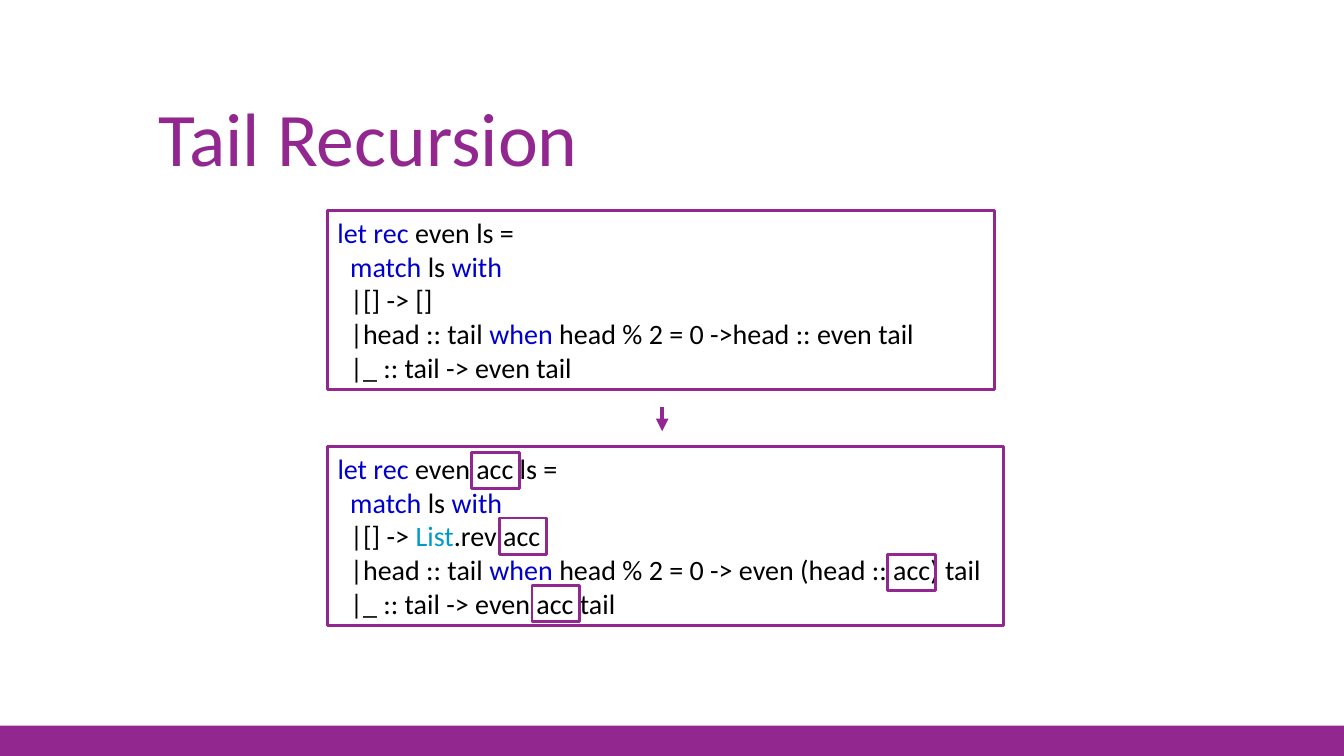
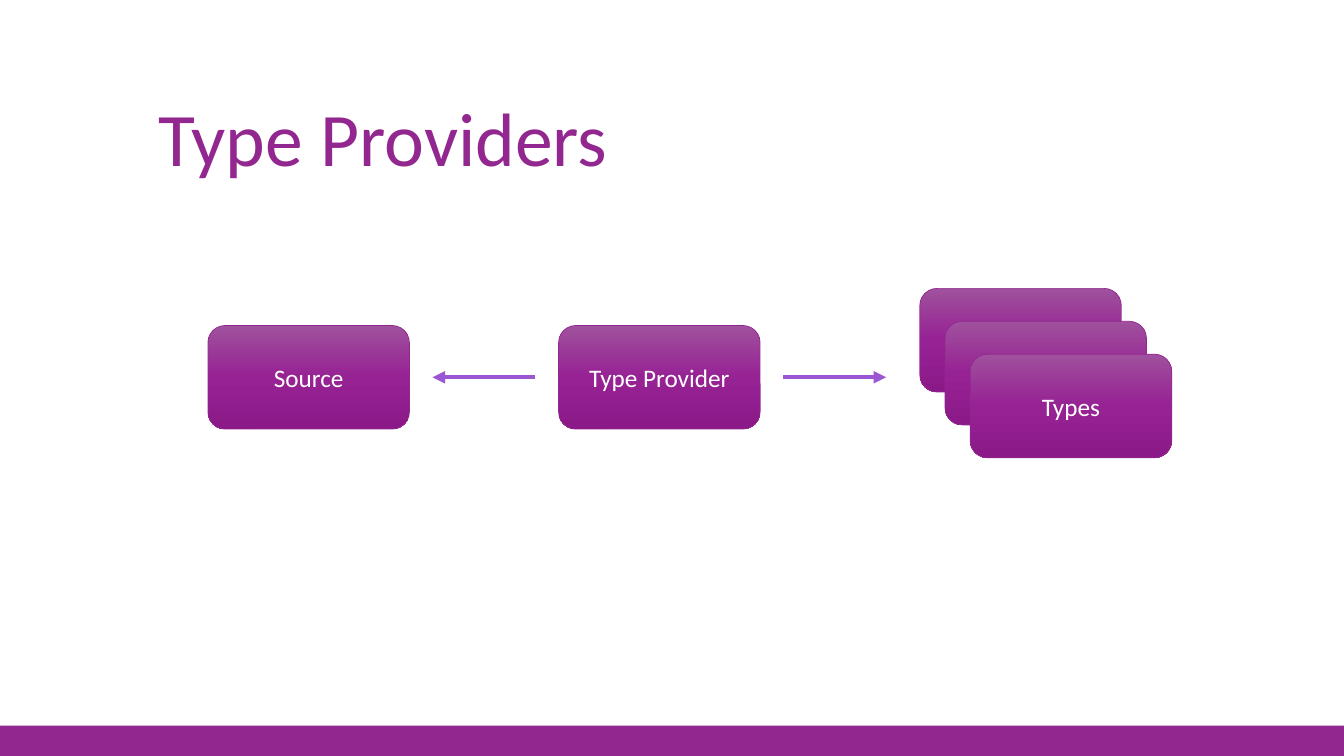
from copy import deepcopy

from lxml.etree import SubElement
from pptx import Presentation
from pptx.dml.color import RGBColor
from pptx.enum.shapes import MSO_CONNECTOR, MSO_SHAPE as SHAPE
from pptx.enum.text import MSO_ANCHOR as ANCHOR, PP_ALIGN as ALIGN
from pptx.oxml.ns import qn
from pptx.util import Pt

FONT = "Calibri"
PURPLE, LILAC = "92278F", "9B57D3"
WHITE, BLACK = "FFFFFF", "000000"
KEYWORD, MODULE = "0000CC", "0099CC"
GRADIENT = [(0, "9F519D"), (0.5, "972294"), (1, "8B1988")]
WIDTH, HEIGHT, BAND = 960, 540, 21.6

MATCH_LINE = [("  ", BLACK), ("match ", KEYWORD), ("ls ", BLACK), ("with", KEYWORD)]
HEAD_START = [("  |head :: tail ", BLACK), ("when ", KEYWORD)]

PLAIN_CODE = [
    [("let rec ", KEYWORD), ("even ls =", BLACK)],
    MATCH_LINE,
    [("  |[] -> []", BLACK)],
    HEAD_START + [("head % 2 = 0 ->head :: even tail", BLACK)],
    [("  |_ :: tail -> even tail", BLACK)],
]
TAIL_CODE = [
    [("let rec ", KEYWORD), ("even acc ls =", BLACK)],
    MATCH_LINE,
    [("  |[] -> ", BLACK), ("List", MODULE), (".rev acc", BLACK)],
    HEAD_START + [("head % 2 = 0 -> even (head :: acc) tail", BLACK)],
    [("  |_ :: tail -> even acc tail", BLACK)],
]


def rgb(color):
    return RGBColor.from_string(color)


class Deck:
    """Holds the presentation, its style and the current slide."""

    def __init__(self):
        self.prs = Presentation()
        self.prs.slide_width, self.prs.slide_height = Pt(WIDTH), Pt(HEIGHT)

    def new_slide(self, title):
        self.s = self.prs.slides.add_slide(self.prs.slide_layouts[5])
        self.box(0, HEIGHT - BAND, WIDTH, BAND, fill=PURPLE)
        sp = self.s.shapes.title
        sp.left, sp.top, sp.width, sp.height = Pt(106), Pt(36.5), Pt(749), Pt(97.5)
        tf = sp.text_frame
        tf.vertical_anchor = ANCHOR.BOTTOM
        tf.text = title
        p = tf.paragraphs[0]
        p.alignment, p.line_spacing = ALIGN.LEFT, 0.9
        self.set_font(p, 54, PURPLE)

    def set_font(self, p, size, color=None):
        p.font.name, p.font.size = FONT, Pt(size)
        if color:
            p.font.color.rgb = rgb(color)

    def box(self, x, y, w, h, fill=None, line=None, weight=2, shape=SHAPE.RECTANGLE):
        sp = self.s.shapes.add_shape(shape, Pt(x), Pt(y), Pt(w), Pt(h))
        sp.shadow.inherit = False
        if fill:
            sp.fill.solid()
            sp.fill.fore_color.rgb = rgb(fill)
        else:
            sp.fill.background()
        if line:
            sp.line.color.rgb = rgb(line)
            sp.line.width = Pt(weight)
        else:
            sp.line.fill.background()
        return sp

    def code(self, x, y, w, h, lines):
        """Draws a framed listing; each line is a list of (text, colour) runs."""
        tf = self.box(x, y, w, h, WHITE, PURPLE).text_frame
        tf.word_wrap, tf.vertical_anchor = True, ANCHOR.TOP
        for i, line in enumerate(lines):
            p = tf.add_paragraph() if i else tf.paragraphs[0]
            p.alignment = ALIGN.LEFT
            self.set_font(p, 20)
            for text, color in line:
                r = p.add_run()
                r.text = text
                r.font.color.rgb = rgb(color)

    def node(self, x, y, text=""):
        """Draws a rounded box with the shared gradient."""
        sp = self.box(x, y, 144, 74, line=PURPLE, weight=0.5, shape=SHAPE.ROUNDED_RECTANGLE)
        sp.fill.gradient()
        sp.fill.gradient_angle = 270
        stops = sp._element.spPr.find(".//" + qn("a:gsLst"))
        stops.insert(1, deepcopy(stops[0]))
        for stop, (position, color) in zip(sp.fill.gradient_stops, GRADIENT):
            stop.position, stop.color.rgb = position, rgb(color)
        if text:
            tf = sp.text_frame
            tf.text, tf.vertical_anchor = text, ANCHOR.MIDDLE
            p = tf.paragraphs[0]
            p.alignment = ALIGN.CENTER
            self.set_font(p, 18, WHITE)

    def arrow(self, x1, y1, x2, y2, color):
        c = self.s.shapes.add_connector(MSO_CONNECTOR.STRAIGHT, Pt(x1), Pt(y1), Pt(x2), Pt(y2))
        c.line.color.rgb, c.line.width = rgb(color), Pt(3)
        SubElement(c.line._get_or_add_ln(), qn("a:tailEnd"), type="triangle")
        SubElement(c._element.spPr, qn("a:effectLst"))


def tail_recursion(deck):
    deck.new_slide("Tail Recursion")
    deck.code(234, 150.5, 476.5, 128, PLAIN_CODE)
    deck.code(234, 319, 483, 128, TAIL_CODE)
    deck.arrow(473, 291, 473, 308, PURPLE)
    for x, y in [(337, 323), (634, 396), (380, 418), (356.5, 370)]:
        deck.box(x, y, 34, 26, line=PURPLE)


def type_providers(deck):
    deck.new_slide("Type Providers")
    deck.node(148.5, 232.5, "Source")
    deck.node(399, 232.5, "Type Provider")
    deck.arrow(382, 269.5, 309, 269.5, LILAC)
    for i, text in enumerate(["", "", "Types"]):
        deck.node(657 + 18 * i, 206 + 23.5 * i, text)
    deck.arrow(559.5, 269.5, 633, 269.5, LILAC)


def main():
    deck = Deck()
    tail_recursion(deck)
    type_providers(deck)
    deck.prs.save("out.pptx")


if __name__ == "__main__":
    main()
